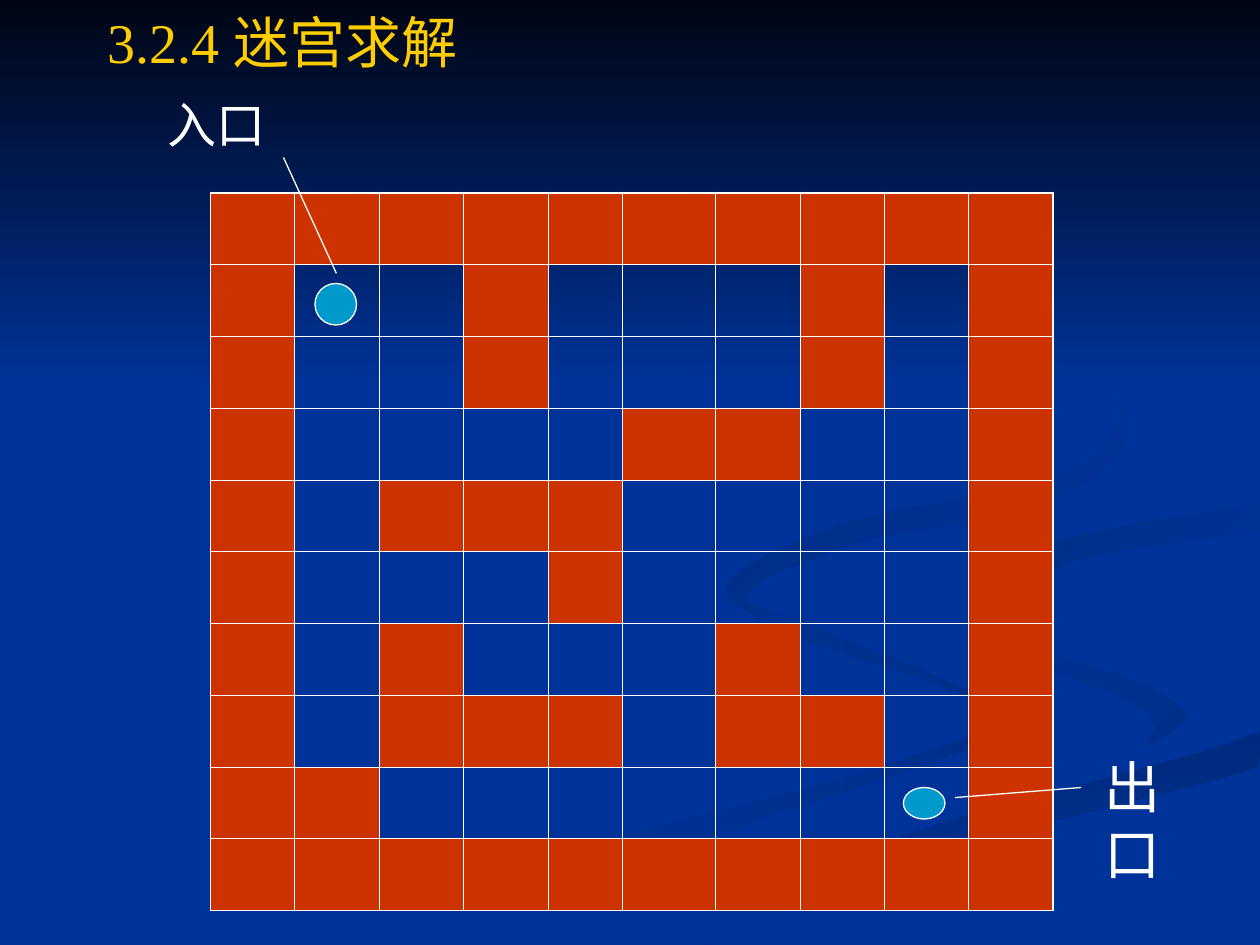
from dataclasses import dataclass

from lxml import etree
from pptx import Presentation
from pptx.dml.color import RGBColor
from pptx.enum import shapes, text
from pptx.oxml import ns
from pptx.util import Inches, Pt


@dataclass(frozen=True)
class Theme:
    face: str = "Times New Roman"
    base: str = "003399"
    night: str = "000514"
    wall: str = "CC3300"
    dot: str = "0099CC"
    gold: str = "FFCC00"
    white: str = "FFFFFF"
    head: int = 32
    label: int = 28
    thin: float = 0.45
    thick: float = 1.08
    line: float = 0.75


@dataclass(frozen=True)
class Ribbon:
    start: str
    end: str
    angle: int
    knots: tuple


@dataclass(frozen=True)
class Label:
    words: str
    box: tuple
    size: int
    color: str


@dataclass(frozen=True)
class Mark:
    kind: shapes.MSO_SHAPE
    box: tuple
    tail: tuple
    tip: tuple


LOOK = Theme()
STEPS = 5

RIBBONS = (
    Ribbon(LOOK.base, "002E8B", 0, (
        (781, 553), (579, 473), (631, 505), (786, 566), (684, 613),
        (458, 674), (300, 749), (361, 749), (564, 665), (800, 581))),
    Ribbon(LOOK.base, "002E8B", 45, (
        (943, 571), (888, 535), (774, 503), (724, 464),
        (755, 505), (880, 549), (917, 576), (894, 605))),
    Ribbon("002A7D", LOOK.base, 90, (
        (503, 749), (571, 749), (722, 682), (998, 609), (998, 581), (764, 647))),
    Ribbon(LOOK.base, LOOK.base, 0, (
        (725, 464), (759, 498), (889, 535), (943, 570), (843, 618), (663, 668),
        (477, 749), (519, 747), (696, 669), (999, 581), (999, 538), (804, 485),
        (786, 453), (999, 402), (999, 387), (770, 427))),
    Ribbon("002D86", LOOK.base, 45, (
        (781, 460), (826, 496), (805, 476), (859, 443),
        (998, 420), (998, 402), (849, 427))),
    Ribbon("002B82", LOOK.base, 45, (
        (683, 430), (825, 402), (894, 344), (843, 275), (762, 233), (846, 279),
        (889, 335), (830, 382), (676, 414), (577, 462), (622, 500), (593, 470))),
)

TITLE = Label("3.2.4 迷宫求解", (0.75, 0, 8.92, 0.66), LOOK.head, LOOK.gold)
ENTRY = Label("入口", (1.23, 0.68, 2, 0.6), LOOK.label, LOOK.white)
EXIT = Label("出口", (8.67, 5.92, 0.67, 1.17), LOOK.head, LOOK.white)

MARKS = (
    Mark(shapes.MSO_SHAPE.FLOWCHART_CONNECTOR, (2.5, 2.25, 0.33, 0.33),
         (2.67, 2.17), (2.25, 1.25)),
    Mark(shapes.MSO_SHAPE.OVAL, (7.17, 6.25, 0.33, 0.25), (7.58, 6.33), (8.58, 6.25)),
)

MAZE = (
    "##########",
    "#..#...#.#",
    "#..#...#.#",
    "#....##..#",
    "#.###....#",
    "#...#....#",
    "#.#...#..#",
    "#.###.##.#",
    "##.......#",
    "##########",
)
ODD = {4: 0.59, 5: 0.74}


def tint(code: str) -> RGBColor:
    return RGBColor.from_string(code)


def inch(nums: tuple) -> list:
    return [Inches(n) for n in nums]


def curve(knots: tuple) -> list:
    dots = []
    count = len(knots)
    for i in range(count):
        quad = [knots[(i + k) % count] for k in (-1, 0, 1, 2)]
        for step in range(STEPS):
            t = step / STEPS
            x, y = (
                b + t * (c - a + t * (2 * a - 5 * b + 4 * c - d
                                      + t * (3 * (b - c) + d - a))) / 2
                for a, b, c, d in zip(*quad))
            dots.append((round(min(x, 1000)), round(min(y, 750))))
    return dots


def paint(shape, start: str, end: str, angle: int) -> None:
    shape.shadow.inherit = False
    shape.line.fill.background()
    shape.fill.gradient()
    shape.fill.gradient_angle = -angle % 360
    for stop, code in zip(shape.fill.gradient_stops, (start, end)):
        stop.color.rgb = tint(code)


def draw_scene(slide, tree) -> None:
    art = []
    for band in RIBBONS:
        first, *rest = curve(band.knots)
        pen = slide.shapes.build_freeform(*first, scale=Inches(0.01))
        pen.add_line_segments(rest, close=True)
        art.append(pen.convert_to_shape())
        paint(art[-1], band.start, band.end, band.angle)
    sky = slide.shapes.add_shape(shapes.MSO_SHAPE.RECTANGLE, *inch((0, 0, 10, 3.08)))
    paint(sky, LOOK.night, LOOK.base, 90)
    for rank, shape in enumerate(art + [sky]):
        node = shape._element
        node.nvSpPr.cNvPr.set("id", str(100 + rank))
        tree.insert(2 + rank, node)


def fill_label(shape, label: Label, anchor: text.MSO_ANCHOR) -> None:
    shape.left, shape.top, shape.width, shape.height = inch(label.box)
    frame = shape.text_frame
    frame.word_wrap = True
    frame.auto_size = text.MSO_AUTO_SIZE.NONE
    frame.vertical_anchor = anchor
    frame.text = label.words
    para = frame.paragraphs[0]
    props = para._p.get_or_add_pPr()
    props.set("marL", "0")
    props.set("indent", "0")
    para.alignment = text.PP_ALIGN.LEFT
    para.space_before = Pt(0)
    etree.SubElement(props, ns.qn("a:buNone"))
    para.font.name = LOOK.face
    para.font.size = Pt(label.size)
    para.font.color.rgb = tint(label.color)


def edge_cell(cell, sides: dict) -> None:
    props = cell._tc.get_or_add_tcPr()
    for side, width in sides.items():
        line = etree.SubElement(props, ns.qn(f"a:ln{side}"), w=str(int(Pt(width))))
        fill = etree.SubElement(line, ns.qn("a:solidFill"))
        etree.SubElement(fill, ns.qn("a:srgbClr"), val=LOOK.white)


def draw_maze(slide) -> None:
    last = len(MAZE) - 1
    box = inch((1.67, 1.53, 6.67, 5.7))
    grid = slide.shapes.add_table(len(MAZE), len(MAZE[0]), *box).table
    grid.first_row = grid.horz_banding = False
    for c, col in enumerate(grid.columns):
        col.width = Inches(ODD.get(c, 0.67))
    for r, line in enumerate(MAZE):
        grid.rows[r].height = Inches(0.57)
        for c, sign in enumerate(line):
            cell = grid.cell(r, c)
            outer = {"L": c == 0, "R": c == last, "T": r == 0, "B": r == last}
            edge_cell(cell, {s: LOOK.thick if o else LOOK.thin for s, o in outer.items()})
            if sign == "#":
                cell.fill.solid()
                cell.fill.fore_color.rgb = tint(LOOK.wall)
            else:
                cell.fill.background()


def draw_mark(slide, mark: Mark) -> None:
    dot = slide.shapes.add_shape(mark.kind, *inch(mark.box))
    dot.shadow.inherit = False
    dot.fill.solid()
    dot.fill.fore_color.rgb = tint(LOOK.dot)
    lead = slide.shapes.add_connector(
        shapes.MSO_CONNECTOR.STRAIGHT, *inch(mark.tail + mark.tip))
    for item in (dot, lead):
        item.line.color.rgb = tint(LOOK.white)
        item.line.width = Pt(LOOK.line)
    etree.SubElement(lead._element.spPr, ns.qn("a:effectLst"))


def main() -> None:
    deck = Presentation()
    deck.slide_width, deck.slide_height = inch((10, 7.5))
    master = deck.slide_master
    master.background.fill.solid()
    master.background.fill.fore_color.rgb = tint(LOOK.base)
    slide = deck.slides.add_slide(deck.slide_layouts[1])
    draw_scene(slide, master.shapes._spTree)
    fill_label(slide.shapes.title, TITLE, text.MSO_ANCHOR.MIDDLE)
    fill_label(slide.placeholders[1], ENTRY, text.MSO_ANCHOR.MIDDLE)
    draw_maze(slide)
    for mark in MARKS:
        draw_mark(slide, mark)
    fill_label(slide.shapes.add_textbox(*inch(EXIT.box)), EXIT, text.MSO_ANCHOR.TOP)
    deck.save("out.pptx")


if __name__ == "__main__":
    main()
